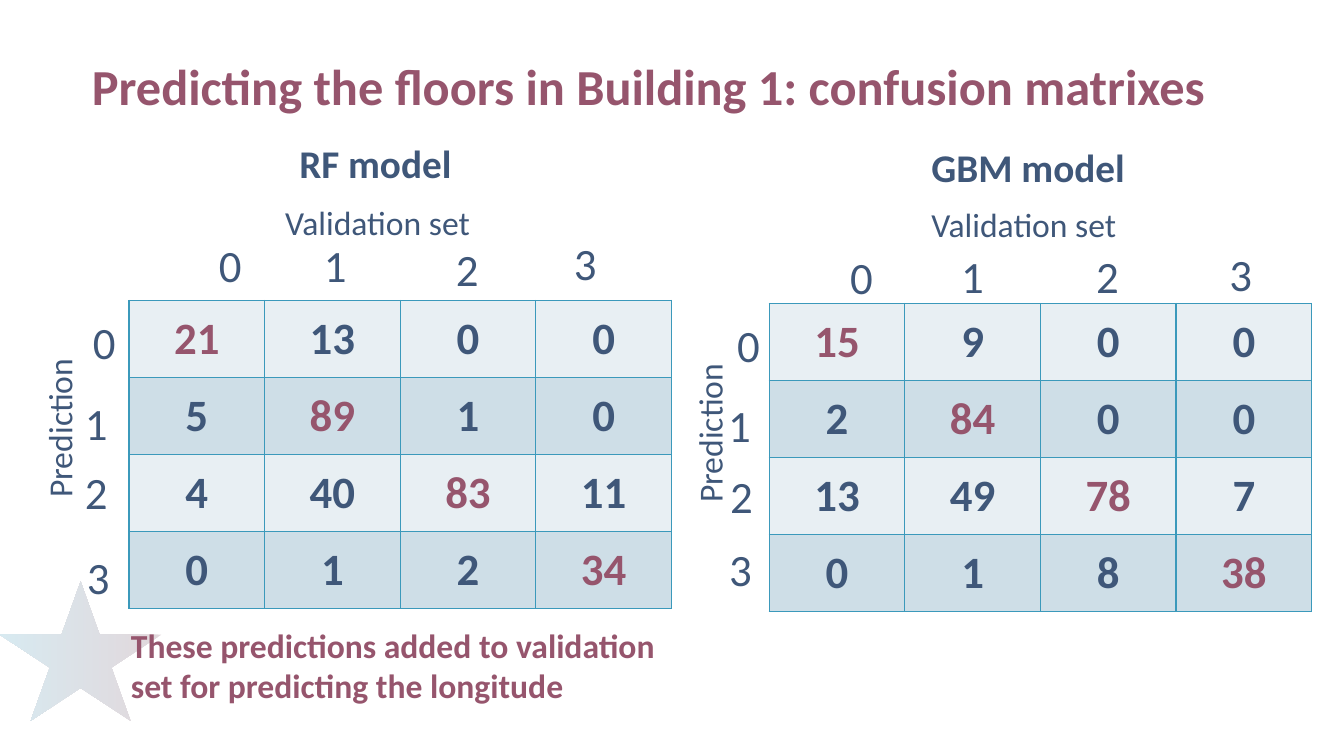
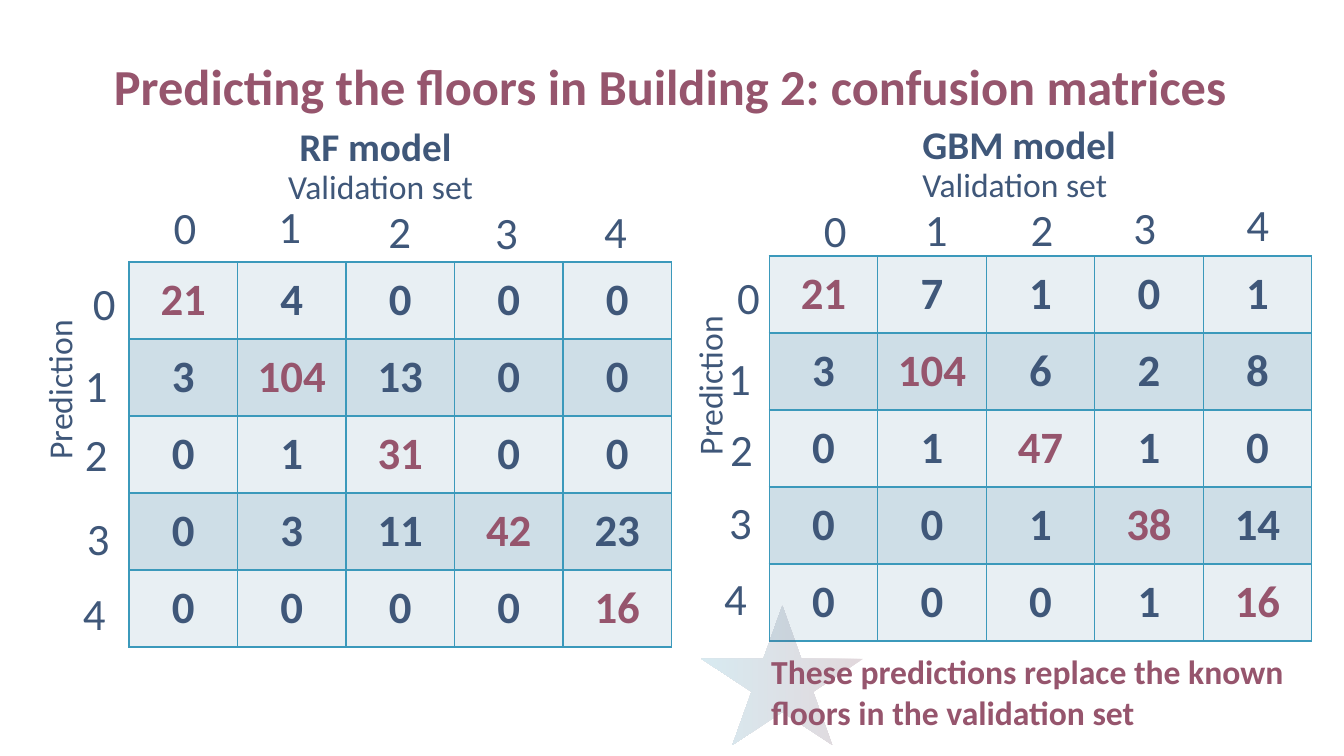
from dataclasses import dataclass

from lxml.etree import SubElement
from pptx import Presentation
from pptx.dml.color import RGBColor
from pptx.enum.shapes import MSO_SHAPE
from pptx.enum.text import MSO_ANCHOR, MSO_AUTO_SIZE, PP_ALIGN
from pptx.oxml.ns import qn
from pptx.slide import Slide
from pptx.text.text import TextFrame
from pptx.util import Emu, Pt

PLUM = RGBColor(0x96, 0x55, 0x6D)
DARK = RGBColor(0x6D, 0x3B, 0x4F)
NAVY = RGBColor(0x3F, 0x57, 0x79)
TEAL = RGBColor(0x3B, 0x99, 0xBB)
BANDS = RGBColor(0xE8, 0xEF, 0xF3), RGBColor(0xCE, 0xDE, 0xE7)

FONT = "Calibri"
TITLE = {"size": Pt(36), "bold": True}
MODEL = {"size": Pt(28), "bold": True}
AXIS = {"size": Pt(24), "bold": False}
NOTE = {"size": Pt(24), "bold": True}
CELL = {"size": Pt(32), "bold": True}
TICK = {"size": Pt(32), "bold": False}

TABLE_W, ROW_H = 538, 76.4
TICK_W, TICK_H = 73, 64

Point = tuple[int, int]


@dataclass
class Side:
    """What one half of every slide keeps: row ticks are (left, drop below table top)."""
    model: str
    left: int
    axis: Point
    ticks: list[Point]


@dataclass
class Matrix:
    side: Side
    top: int
    model: Point
    axis: Point
    ticks: list[Point]
    rows: list[list[int]]


@dataclass
class Page:
    title: str
    left: int
    grids: list[Matrix]
    star: Point
    note: str
    place: tuple[int, int, int]


RF = Side("RF model", 128, (-28, 94), [(67, 9), (59, 90), (59, 158), (61, 242), (57, 316)])
GBM = Side("GBM model", 763, (617, 96), [(706, 9), (697, 89), (699, 159), (698, 232), (693, 307)])

PAGES = [
    Page("Predicting the floors in Building 1: confusion matrixes", 87, [
        Matrix(RF, 298, (287, 133), (273, 195),
               [(192, 231), (296, 231), (427, 235), (544, 229)],
               [[21, 13, 0, 0], [5, 89, 1, 0], [4, 40, 83, 11], [0, 1, 2, 34]]),
        Matrix(GBM, 301, (914, 137), (914, 197),
               [(818, 243), (928, 242), (1062, 242), (1194, 240)],
               [[15, 9, 0, 0], [2, 84, 0, 0], [13, 49, 78, 7], [0, 1, 8, 38]]),
    ], (0, 577), "These predictions added to validation set for predicting the longitude",
        (120, 615, 553)),
    Page("Predicting the floors in Building 2: confusion matrices", 109, [
        Matrix(RF, 260, (287, 116), (276, 160),
               [(147, 193), (251, 192), (360, 197), (466, 198), (574, 197)],
               [[21, 4, 0, 0, 0], [3, 104, 13, 0, 0], [0, 1, 31, 0, 0],
                [0, 3, 11, 42, 23], [0, 0, 0, 0, 16]]),
        Matrix(GBM, 254, (905, 114), (905, 158),
               [(792, 196), (892, 195), (997, 195), (1099, 193), (1211, 190)],
               [[21, 7, 1, 0, 1], [3, 104, 6, 2, 8], [0, 1, 47, 1, 0],
                [0, 0, 1, 38, 14], [0, 0, 0, 1, 16]]),
    ], (696, 601), "These predictions replace the known floors in the validation set",
        (755, 641, 545)),
]


def px(size: float) -> Emu:
    return Emu(round(size * 9144))


def write(frame: TextFrame, text: str, style: dict, color: RGBColor, align=PP_ALIGN.LEFT) -> None:
    par = frame.paragraphs[0]
    par.alignment = align
    run = par.add_run()
    run.text = text
    for key, value in style.items():
        setattr(run.font, key, value)
    run.font.name = FONT
    run.font.color.rgb = color


def label(slide: Slide, text: str, spot: Point, size: Point, style: dict,
          color=NAVY, align=PP_ALIGN.LEFT, turn=0) -> None:
    box = slide.shapes.add_textbox(*map(px, spot + size))
    box.rotation = turn
    box.text_frame.word_wrap = True
    box.text_frame.auto_size = MSO_AUTO_SIZE.SHAPE_TO_FIT_TEXT
    write(box.text_frame, text, style, color, align)


def head(slide: Slide, text: str, left: int) -> None:
    shape = slide.shapes.title
    place = {"left": left, "top": 2, "width": 1124, "height": 114}
    for key, value in place.items():
        setattr(shape, key, px(value))
    frame = shape.text_frame
    insets = {"margin_left": px(4), "margin_top": 0, "margin_right": 0, "margin_bottom": 0}
    layout = {"word_wrap": True, "vertical_anchor": MSO_ANCHOR.BOTTOM,
              "auto_size": MSO_AUTO_SIZE.NONE}
    for key, value in (insets | layout).items():
        setattr(frame, key, value)
    write(frame, text, TITLE, PLUM)
    frame.paragraphs[0].line_spacing = 0.9


def edge(cell) -> None:
    """Draw a thin line on all four sides of a table cell."""
    props = cell._tc.get_or_add_tcPr()
    for tag in ("a:lnL", "a:lnR", "a:lnT", "a:lnB"):
        line = SubElement(props, qn(tag), w=str(Pt(1)))
        fill = SubElement(line, qn("a:solidFill"))
        SubElement(fill, qn("a:srgbClr"), val=str(TEAL))


def grid(slide: Slide, left: int, top: int, rows: list[list[int]]) -> None:
    """Add a square table with its diagonal in plum."""
    count = len(rows)
    place = map(px, (left, top, TABLE_W, ROW_H * count))
    table = slide.shapes.add_table(count, count, *place).table
    table.first_row = table.horz_banding = False
    for r, row in enumerate(rows):
        table.rows[r].height = px(ROW_H)
        for c, value in enumerate(row):
            cell = table.cell(r, c)
            edge(cell)
            cell.fill.solid()
            cell.fill.fore_color.rgb = BANDS[r % 2]
            cell.vertical_anchor = MSO_ANCHOR.MIDDLE
            write(cell.text_frame, str(value), CELL, PLUM if r == c else NAVY, PP_ALIGN.CENTER)


def matrix(slide: Slide, item: Matrix) -> None:
    side = item.side
    grid(slide, side.left, item.top, item.rows)
    label(slide, side.model, item.model, (257, 57), MODEL)
    label(slide, "Validation set", item.axis, (220, 50), AXIS)
    left, drop = side.axis
    label(slide, "Prediction", (left, item.top + drop), (173, 50), AXIS, turn=270)
    down = [(x, item.top + y) for x, y in side.ticks[:len(item.rows)]]
    for spots in (item.ticks, down):
        for floor, spot in enumerate(spots):
            label(slide, str(floor), spot, (TICK_W, TICK_H), TICK, align=PP_ALIGN.CENTER)


def star(slide: Slide, spot: Point) -> None:
    shape = slide.shapes.add_shape(MSO_SHAPE.STAR_5_POINT, *map(px, spot + (160, 138)))
    shape.shadow.inherit = False
    shape.line.fill.background()
    shape.fill.gradient()
    shape.fill.gradient_angle = 180
    for stop, color in zip(shape.fill.gradient_stops, (DARK, TEAL)):
        stop.color.rgb = color
    for tint in shape._element.spPr.iter(qn("a:srgbClr")):
        SubElement(tint, qn("a:alpha"), val="20000")


def main() -> None:
    deck = Presentation()
    deck.slide_width, deck.slide_height = px(1333), px(750)
    for page in PAGES:
        slide = deck.slides.add_slide(deck.slide_layouts.get_by_name("Title Only"))
        head(slide, page.title, page.left)
        for item in page.grids:
            matrix(slide, item)
        star(slide, page.star)
        left, top, width = page.place
        label(slide, page.note, (left, top), (width, 91), NOTE, PLUM)
    deck.save("out.pptx")


if __name__ == "__main__":
    main()
